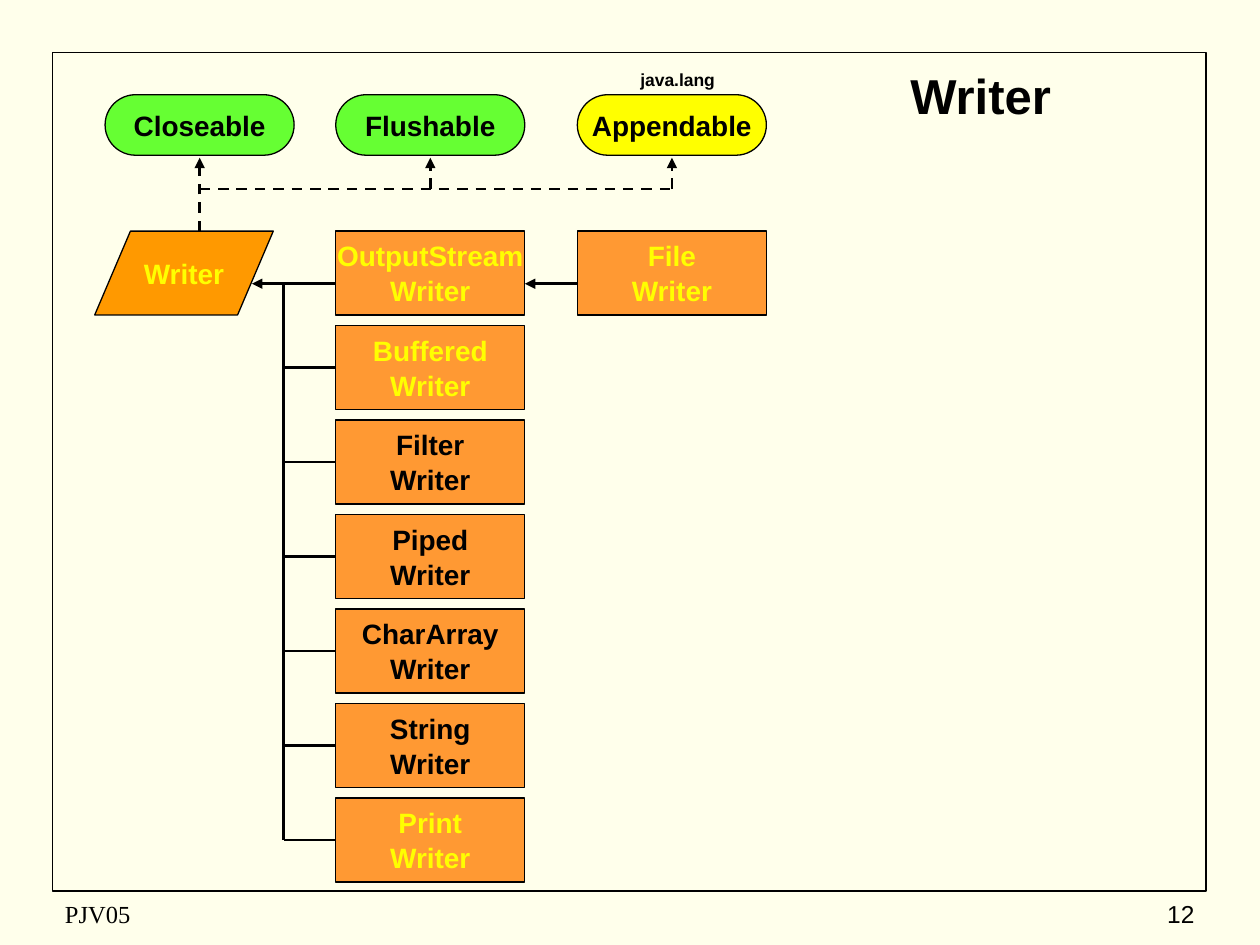
from dataclasses import dataclass

from lxml import etree
from pptx import Presentation
from pptx.dml.color import RGBColor
from pptx.enum.dml import MSO_LINE
from pptx.enum.shapes import MSO_CONNECTOR, MSO_SHAPE
from pptx.enum.text import MSO_ANCHOR, PP_ALIGN
from pptx.oxml.ns import qn
from pptx.util import Cm, Pt


@dataclass(frozen=True)
class Theme:
    background: str = "FFFFEB"
    ink: str = "000000"
    highlight: str = "FFFF00"
    green: str = "66FF33"
    abstract: str = "FF9900"
    concrete: str = "FF9933"
    sans: str = "Arial"
    serif: str = "Times New Roman"
    title: int = 28
    label: int = 16
    footer: int = 14
    note: int = 10
    outline: float = 0.75
    frame: float = 1
    link: float = 1.5


THEME = Theme()

TITLE = "Writer "
COURSE, PAGE = "PJV05", "12"
PACKAGE = "java.lang"
ROOT = "Writer"
INTERFACES = [
    ("Closeable", THEME.green),
    ("Flushable", THEME.green),
    ("Appendable", THEME.highlight),
]
SUBCLASSES = [
    ("OutputStream", THEME.highlight),
    ("Buffered", THEME.highlight),
    ("Filter", THEME.ink),
    ("Piped", THEME.ink),
    ("CharArray", THEME.ink),
    ("String", THEME.ink),
    ("Print", THEME.highlight),
]
GRANDCHILD = ("File", THEME.highlight)

# Positions in centimetres
COLUMNS = [2.12, 6.77, 11.64]
BOX_WIDTH, BOX_HEIGHT = 3.81, 1.69
FIRST_ROW, LAST_ROW = 4.66, 16.09
ROW_PITCH = (LAST_ROW - FIRST_ROW) / (len(SUBCLASSES) - 1)
INTERFACE_TOP, INTERFACE_HEIGHT = 1.91, 1.22
ROOT_LEFT, ROOT_WIDTH, ROOT_EDGE = 1.91, 3.6, 5.08
TRUNK_X, TRUNK_Y = 5.72, 5.72
BUS_Y, ARROW_Y = 3.81, 3.18
FOOTER_TOP, FOOTER_HEIGHT = 17.99, 0.85


def write(shape, text, size=THEME.label, color=THEME.ink, font=THEME.sans,
          bold=True, align=PP_ALIGN.CENTER, anchor=MSO_ANCHOR.MIDDLE, wrap=True):
    frame = shape.text_frame
    frame.word_wrap = wrap
    frame.vertical_anchor = anchor
    for index, line in enumerate(text.split("\n")):
        paragraph = frame.add_paragraph() if index else frame.paragraphs[0]
        paragraph.text = line
        paragraph.alignment = align
        if index:
            paragraph.space_before = Pt(1)
        paragraph.font.size = Pt(size)
        paragraph.font.name = font
        paragraph.font.bold = bold
        paragraph.font.color.rgb = RGBColor.from_string(color)


def add_text(slide, text, left, top, width, height, **format):
    box = slide.shapes.add_textbox(Cm(left), Cm(top), Cm(width), Cm(height))
    write(box, text, **format)


def add_box(slide, kind, left, top, width, height, fill=None, line=THEME.outline):
    box = slide.shapes.add_shape(kind, Cm(left), Cm(top), Cm(width), Cm(height))
    box.shadow.inherit = False
    if fill:
        box.fill.solid()
        box.fill.fore_color.rgb = RGBColor.from_string(fill)
    else:
        box.fill.background()
    box.line.color.rgb = RGBColor.from_string(THEME.ink)
    box.line.width = Pt(line)
    return box


def add_class(slide, prefix, color, left, top):
    box = add_box(slide, MSO_SHAPE.FLOWCHART_PROCESS, left, top,
                  BOX_WIDTH, BOX_HEIGHT, THEME.concrete)
    write(box, f"{prefix}\nWriter", color=color, wrap=False)


def add_link(slide, start, end, arrow=False, dashed=False):
    link = slide.shapes.add_connector(
        MSO_CONNECTOR.STRAIGHT, *(Cm(value) for value in (*start, *end)))
    link.line.color.rgb = RGBColor.from_string(THEME.ink)
    link.line.width = Pt(THEME.link)
    if dashed:
        link.line.dash_style = MSO_LINE.DASH
    if arrow:
        etree.SubElement(link.line._get_or_add_ln(), qn("a:tailEnd"), type="triangle")
    etree.SubElement(link._element.spPr, qn("a:effectLst"))


def add_page_parts(slide):
    add_box(slide, MSO_SHAPE.RECTANGLE, 1.06, 1.06, 23.25, 16.9, line=THEME.frame)
    add_text(slide, COURSE, 1.06, FOOTER_TOP, 8.05, FOOTER_HEIGHT, size=THEME.footer,
             font=THEME.serif, bold=False, align=PP_ALIGN.LEFT)
    add_text(slide, PAGE, 19.05, FOOTER_TOP, 5.28, FOOTER_HEIGHT, size=THEME.footer,
             bold=False, align=PP_ALIGN.RIGHT)
    add_text(slide, TITLE, 15.88, 1.27, 8.05, 1.27, size=THEME.title)


def add_interfaces(slide):
    centers = [left + BOX_WIDTH / 2 for left in COLUMNS]
    for (name, fill), left in zip(INTERFACES, COLUMNS):
        box = add_box(slide, MSO_SHAPE.FLOWCHART_TERMINATOR, left, INTERFACE_TOP,
                      BOX_WIDTH, INTERFACE_HEIGHT, fill)
        write(box, name, wrap=False)
    add_text(slide, PACKAGE, 12.07, 1.27, 3.18, 0.69, size=THEME.note,
             anchor=MSO_ANCHOR.TOP)
    for index, center in enumerate(centers):
        start_y = BUS_Y if index else FIRST_ROW
        add_link(slide, (center, start_y), (center, ARROW_Y), arrow=True, dashed=True)
    add_link(slide, (centers[0], BUS_Y), (centers[-1], BUS_Y), dashed=True)


def add_hierarchy(slide):
    root = add_box(slide, MSO_SHAPE.FLOWCHART_DATA, ROOT_LEFT, FIRST_ROW,
                   ROOT_WIDTH, BOX_HEIGHT, THEME.abstract)
    write(root, ROOT, color=THEME.highlight, wrap=False)

    _, child_left, grandchild_left = COLUMNS
    for row, (prefix, color) in enumerate(SUBCLASSES):
        top = FIRST_ROW + row * ROW_PITCH
        add_class(slide, prefix, color, child_left, top)
        if row:
            branch_y = top + BOX_HEIGHT / 2
            add_link(slide, (child_left, branch_y), (TRUNK_X, branch_y))
    add_link(slide, (TRUNK_X, branch_y), (TRUNK_X, TRUNK_Y))
    add_link(slide, (child_left, TRUNK_Y), (ROOT_EDGE, TRUNK_Y), arrow=True)

    add_class(slide, *GRANDCHILD, grandchild_left, FIRST_ROW)
    add_link(slide, (grandchild_left, TRUNK_Y), (child_left + BOX_WIDTH, TRUNK_Y),
             arrow=True)


def main():
    deck = Presentation()
    deck.slide_width, deck.slide_height = Cm(25.4), Cm(19.05)
    slide = deck.slides.add_slide(deck.slide_layouts[6])
    slide.background.fill.solid()
    slide.background.fill.fore_color.rgb = RGBColor.from_string(THEME.background)
    add_page_parts(slide)
    add_hierarchy(slide)
    add_interfaces(slide)
    deck.save("out.pptx")


if __name__ == "__main__":
    main()
